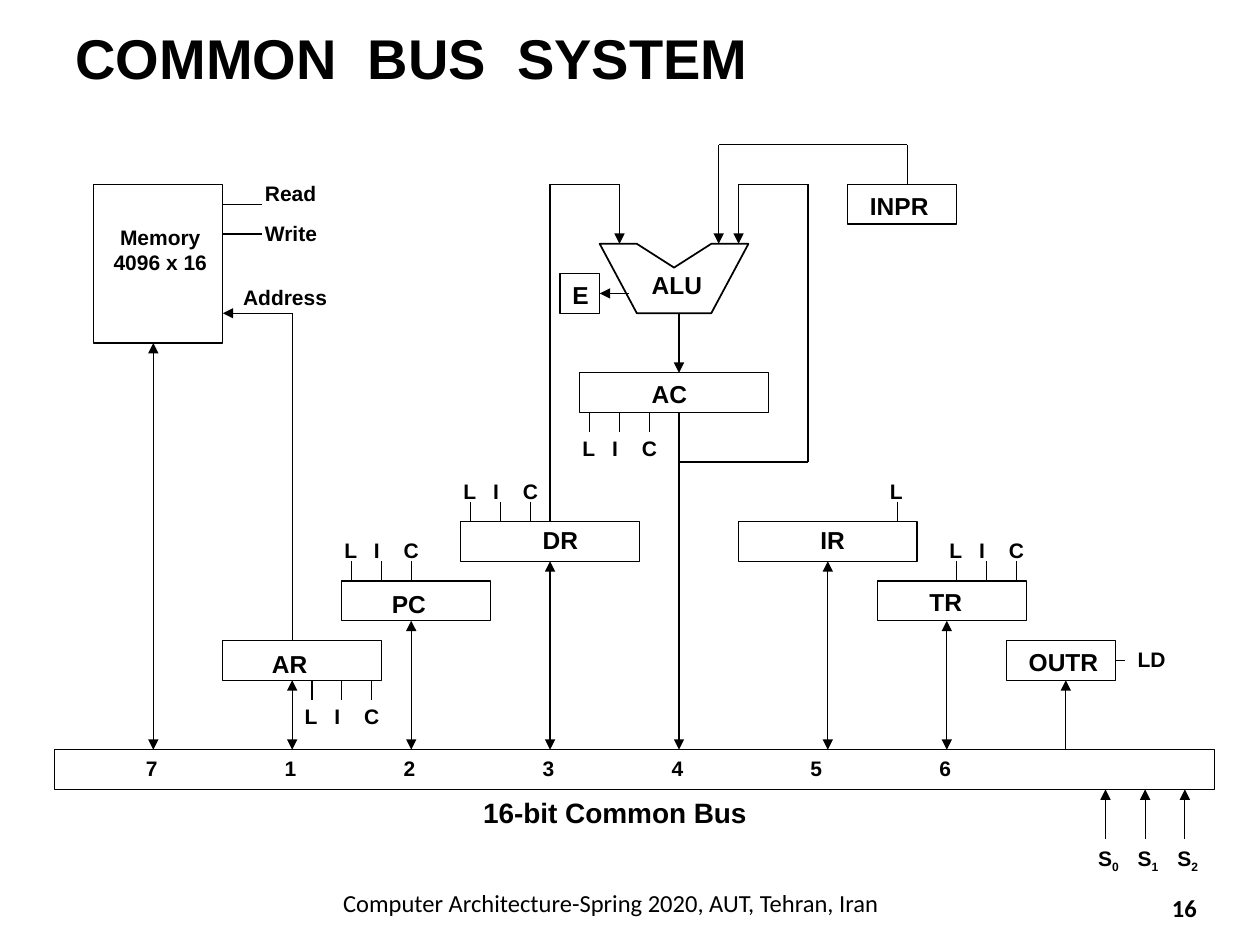
"""Build the common bus system slide on a grid of columns and rows."""
from dataclasses import dataclass

import lxml.etree
import pptx
import pptx.dml.color
import pptx.enum.shapes
import pptx.enum.text
import pptx.oxml.ns
import pptx.util

Point = tuple[float, float]
Align = pptx.enum.text.PP_ALIGN


@dataclass(frozen=True)
class Theme:
    ink: pptx.dml.color.RGBColor = pptx.dml.color.RGBColor(0, 0, 0)
    face: str = "Arial"
    foot: str = "Calibri"
    title: int = 32
    large: int = 16
    mid: int = 14
    small: int = 12
    thin: float = 0.75
    thick: float = 1


@dataclass(frozen=True)
class Grid:
    left: float = 0.43
    base: float = 5.95
    step: float = 9.21 / 117
    bus: int = 61

    def x(self, col: float) -> int:
        return pptx.util.Inches(self.left + col * self.step)

    def y(self, row: float) -> int:
        return pptx.util.Inches(self.base + (row - self.bus) * self.step)

    def size(self, cells: float) -> int:
        return pptx.util.Inches(cells * self.step)


@dataclass(frozen=True)
class Box:
    col: int
    row: int
    wide: int
    high: int = 4


@dataclass(frozen=True)
class Label:
    text: str
    col: float
    row: float
    wide: float
    size: int
    sub: str = ""
    align: Align = Align.LEFT


@dataclass(frozen=True)
class Route:
    points: tuple[Point, ...]
    head: bool = False
    tail: bool = False


@dataclass(frozen=True)
class Pins:
    col: int
    row: int
    text_row: float
    marks: str = "LIC"


@dataclass(frozen=True)
class Frame:
    text: str
    left: float
    top: float
    wide: float
    high: float
    size: int
    face: str
    bold: bool
    align: Align


THEME = Theme()
GRID = Grid()
SMALL, MID = THEME.small, THEME.mid
WIDTHS = {"L": 3.8, "I": 3.2, "C": 4.1}

BOXES = [
    Box(0, 61, 117), Box(4, 4, 13, 16), Box(17, 50, 16), Box(29, 44, 15),
    Box(41, 38, 18), Box(53, 23, 19), Box(51, 13, 4), Box(69, 38, 18),
    Box(83, 44, 15), Box(96, 50, 11), Box(80, 4, 11),
]
LABELS = [
    Label("AR", 20.7, 50.2, 6.2, MID), Label("PC", 32.8, 44.2, 6.1, MID),
    Label("DR", 48, 37.75, 6.2, MID), Label("AC", 59, 23, 6.2, MID),
    Label("ALU", 59, 12, 7.8, MID), Label("E", 51, 13, 4.3, MID),
    Label("IR", 76, 37.75, 5.2, MID), Label("TR", 87, 44, 6, MID),
    Label("OUTR", 97, 50, 9.9, MID), Label("INPR", 81, 4, 8.7, MID),
    Label("Memory\n4096 x 16", 4.7, 7.4, 12, SMALL, align=Align.CENTER),
    Label("Address", 17.8, 13.5, 11.1, SMALL), Label("Read", 20, 3, 7.8, SMALL),
    Label("Write", 20, 7, 8, SMALL), Label("LD", 108, 50, 5.6, SMALL),
    Label("16-bit Common Bus", 42, 65, 29.3, THEME.large),
]
PORTS = {"7": 8, "1": 22, "2": 34, "3": 48, "4": 61, "5": 75, "6": 88}
LABELS += [Label(text, col, 61, 3.7, SMALL) for text, col in PORTS.items()]
ROUTES = [
    Route(((63, 27), (63, 61)), tail=True),
    Route(((63, 17), (63, 23)), tail=True),
    Route(((50, 38), (50, 4), (57, 4), (57, 10)), tail=True),
    Route(((63, 32), (76, 32), (76, 4), (69, 4), (69, 10)), tail=True),
    Route(((86, 4), (86, 0), (67, 0), (67, 10)), tail=True),
    Route(((24, 50), (24, 17), (17, 17)), tail=True),
    Route(((58, 15), (55, 15)), tail=True),
    Route(((102, 61), (102, 54)), tail=True),
    Route(((107, 52), (108, 52))),
    Route(((17, 6), (21, 6))), Route(((17, 9), (21, 9))),
]
LINKS = [(10, 20), (24, 54), (36, 48), (50, 42), (78, 42), (90, 48)]
ROUTES += [Route(((col, row), (col, 61)), True, True) for col, row in LINKS]
for bit in range(3):
    place = 106 + 4 * bit
    ROUTES.append(Route(((place, 70), (place, 65)), tail=True))
    LABELS.append(Label("S", place - 2, 70, 4.8, SMALL, str(bit)))
PINS = [
    Pins(26, 54, 55.7), Pins(30, 42, 39), Pins(42, 36, 33), Pins(54, 27, 28.7),
    Pins(85, 36, 33, "L"), Pins(91, 42, 39),
]
for group in PINS:
    for place, mark in enumerate(group.marks):
        col = group.col + 3 * place
        ROUTES.append(Route(((col, group.row), (col, group.row + 2))))
        LABELS.append(Label(mark, col - 2, group.text_row, WIDTHS[mark], SMALL))
FRAMES = [
    Frame("COMMON  BUS  SYSTEM", 0.05, 0, 0.9, 0.12, THEME.title, THEME.face, True, Align.LEFT),
    Frame("16", 0.91, 0.93, 0.06, 0.06, MID, THEME.foot, True, Align.CENTER),
    Frame("Computer Architecture-Spring 2020, AUT, Tehran, Iran", 0.11, 0.93, 0.75, 0.05,
          MID, THEME.foot, False, Align.CENTER),
]


def style(frame, size: int, face: str, bold: bool, align: Align) -> None:
    for para in frame.paragraphs:
        para.alignment = align
        for run in para.runs:
            run.font.size = pptx.util.Pt(size)
            run.font.name = face
            run.font.bold = bold
            run.font.color.rgb = THEME.ink


def draw_frame(slide, item: Frame, wide: int, high: int) -> None:
    shape = slide.shapes.add_textbox(*(int(n) for n in (
        item.left * wide, item.top * high, item.wide * wide, item.high * high)))
    frame = shape.text_frame
    frame.word_wrap = True
    frame.vertical_anchor = pptx.enum.text.MSO_ANCHOR.MIDDLE
    frame.text = item.text
    style(frame, item.size, item.face, item.bold, item.align)


def draw_label(slide, item: Label) -> None:
    lines = item.text.count("\n") + 1
    high = pptx.util.Pt(item.size * 1.1 * lines + 7.2)
    shape = slide.shapes.add_textbox(
        GRID.x(item.col), GRID.y(item.row), GRID.size(item.wide), high)
    frame = shape.text_frame
    frame.word_wrap = False
    frame.auto_size = pptx.enum.text.MSO_AUTO_SIZE.SHAPE_TO_FIT_TEXT
    frame.text = item.text
    if item.sub:
        run = frame.paragraphs[0].add_run()
        run.text = item.sub
        run.font._element.set("baseline", "-25000")
    style(frame, item.size, THEME.face, True, item.align)


def outline(shape, weight: float) -> None:
    shape.shadow.inherit = False
    shape.fill.background()
    shape.line.color.rgb = THEME.ink
    shape.line.width = pptx.util.Pt(weight)


def draw_box(slide, box: Box) -> dict:
    shape = slide.shapes.add_shape(
        pptx.enum.shapes.MSO_SHAPE.RECTANGLE, GRID.x(box.col), GRID.y(box.row),
        GRID.size(box.wide), GRID.size(box.high))
    outline(shape, THEME.thin)
    mid_x, mid_y = box.col + box.wide / 2, box.row + box.high / 2
    sides = [(mid_x, box.row), (box.col, mid_y),
             (mid_x, box.row + box.high), (box.col + box.wide, mid_y)]
    return {side: (shape, site) for site, side in enumerate(sides)}


def draw_alu(slide) -> None:
    points = [(GRID.x(col), GRID.y(row)) for col, row in (
        (55, 10), (58.75, 10), (62.5, 12.4), (66.25, 10), (70, 10), (66.25, 17), (58.75, 17))]
    pen = slide.shapes.build_freeform(*points[0])
    pen.add_line_segments(points[1:])
    outline(pen.convert_to_shape(), THEME.thick)


def draw_route(slide, route: Route, sides: dict) -> None:
    last = len(route.points) - 2
    for place, (start, end) in enumerate(zip(route.points, route.points[1:])):
        wire = slide.shapes.add_connector(
            pptx.enum.shapes.MSO_CONNECTOR.STRAIGHT,
            GRID.x(start[0]), GRID.y(start[1]), GRID.x(end[0]), GRID.y(end[1]))
        if start in sides:
            wire.begin_connect(*sides[start])
        if end in sides:
            wire.end_connect(*sides[end])
        wire.line.color.rgb = THEME.ink
        wire.line.width = pptx.util.Pt(THEME.thin)
        ends = {"a:headEnd": route.head and place == 0, "a:tailEnd": route.tail and place == last}
        for tag, shown in ends.items():
            if shown:
                lxml.etree.SubElement(wire.line._ln, pptx.oxml.ns.qn(tag), type="triangle")
        lxml.etree.SubElement(wire._element.spPr, pptx.oxml.ns.qn("a:effectLst"))


def main() -> None:
    deck = pptx.Presentation()
    deck.slide_width, deck.slide_height = pptx.util.Inches(10), pptx.util.Inches(7.5)
    slide = deck.slides.add_slide(deck.slide_layouts[6])
    for item in FRAMES:
        draw_frame(slide, item, deck.slide_width, deck.slide_height)
    sides = {}
    for box in BOXES:
        sides.update(draw_box(slide, box))
    draw_alu(slide)
    for route in ROUTES:
        draw_route(slide, route, sides)
    for label in LABELS:
        draw_label(slide, label)
    deck.save("out.pptx")


if __name__ == "__main__":
    main()
